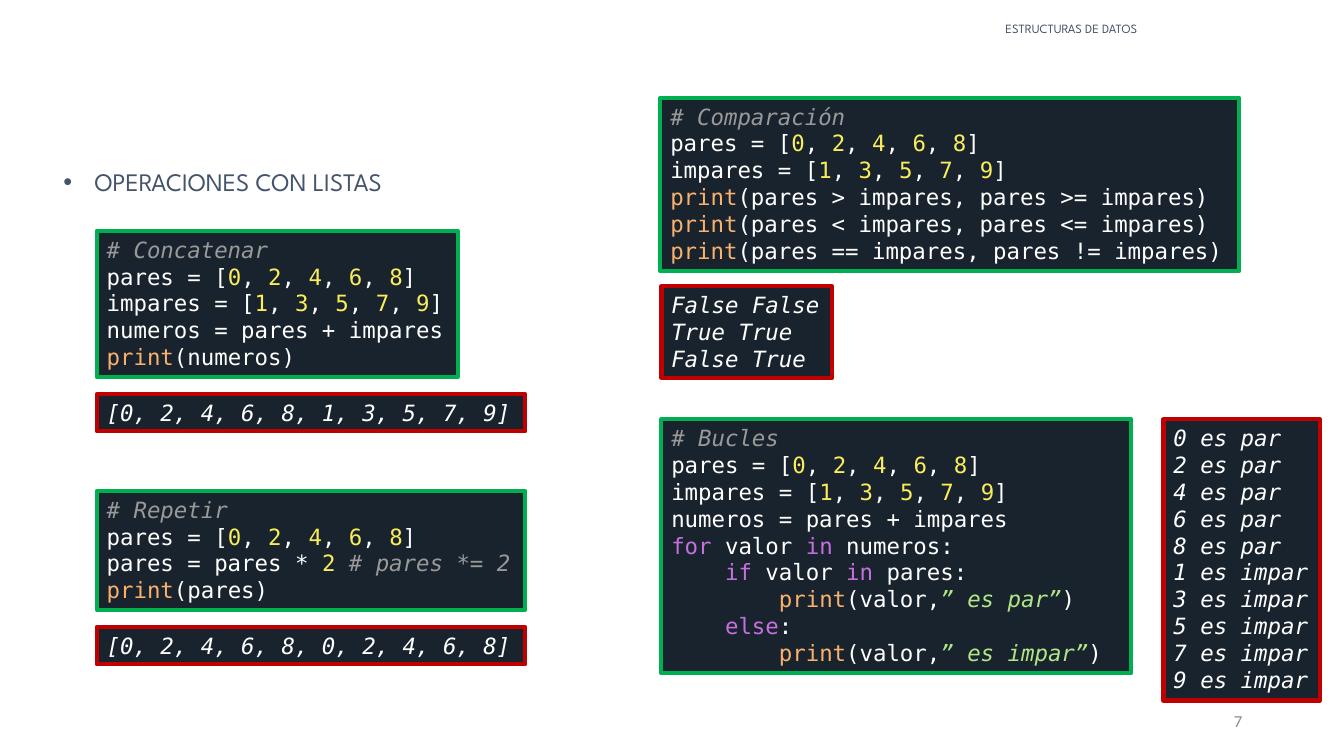
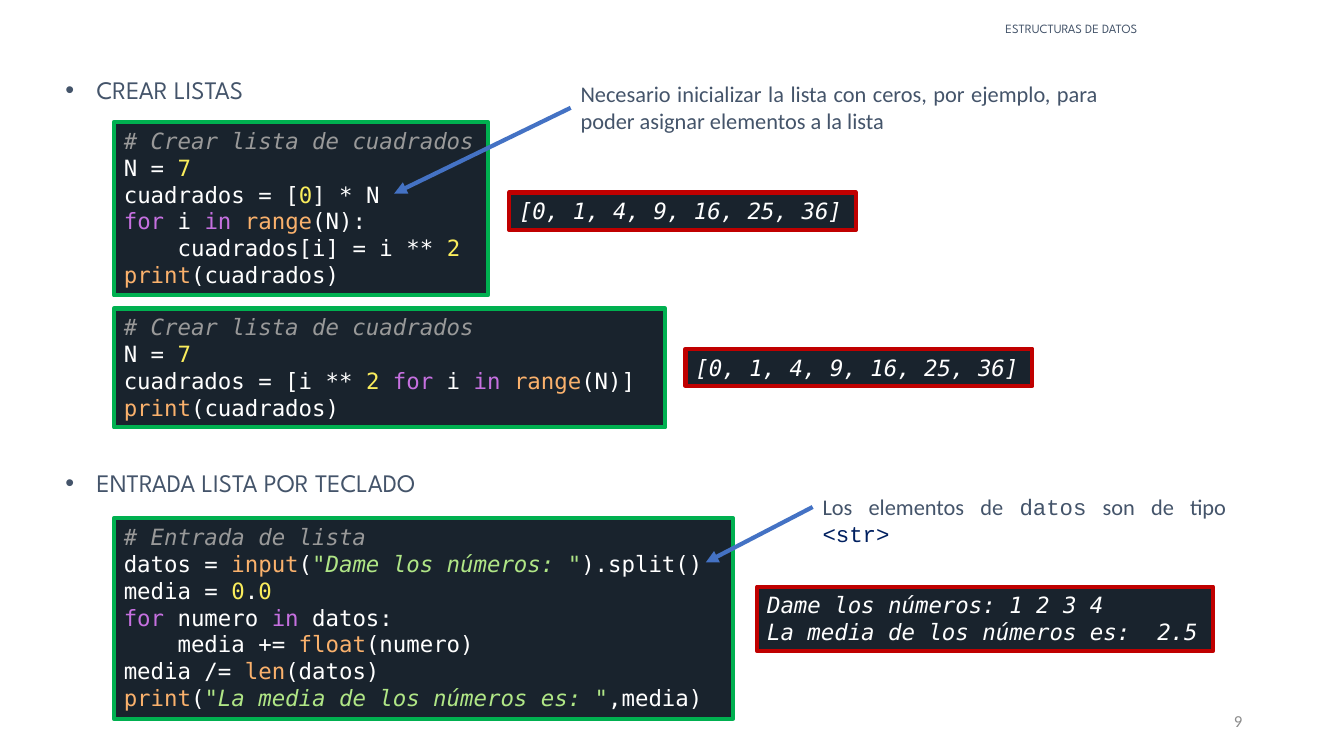
from collections.abc import Iterator
from dataclasses import dataclass
from itertools import groupby

from lxml.etree import SubElement
from pptx import Presentation
from pptx.dml.color import RGBColor
from pptx.enum.shapes import MSO_CONNECTOR as Connector, MSO_SHAPE as Shape
from pptx.enum.text import MSO_ANCHOR as Anchor, MSO_AUTO_SIZE as AutoSize, PP_ALIGN as Align
from pptx.oxml.ns import qn
from pptx.util import Inches, Pt


@dataclass(frozen=True)
class Theme:
    title_font: str = "League Spartan"
    body_font: str = "Calibri"
    code_font: str = "DejaVu Sans Mono"
    inline_font: str = "Courier New"
    header_size: int = 9
    number_size: int = 12
    text_size: int = 16
    heading_size: int = 18
    border: int = 3
    ink: str = "44546A"
    number_ink: str = "8C8C8C"
    type_ink: str = "002060"
    arrow: str = "4472C4"
    panel: str = "19232D"
    code_border: str = "00B050"
    output_border: str = "C00000"
    plain: str = "FFFFFF"
    comment: str = "999999"
    digit: str = "FAED5C"
    keyword: str = "C670E0"
    builtin: str = "FAB16C"
    string: str = "B0E686"


THEME = Theme()
KEYWORDS = {"for", "in", "if", "else"}
BUILTINS = {"print", "range", "input", "float", "len"}
QUOTES = '"”'
INDENT = Inches(0.31)


@dataclass(frozen=True)
class Span:
    text: str
    colour: str = THEME.ink
    font: str = THEME.body_font
    size: int = THEME.text_size
    italic: bool = False


@dataclass(frozen=True)
class Place:
    left: float
    top: float
    width: float
    height: float

    def inches(self) -> list:
        return [Inches(side) for side in (self.left, self.top, self.width, self.height)]


@dataclass(frozen=True)
class Panel:
    place: Place
    lines: tuple[str, ...]
    is_output: bool = False


@dataclass(frozen=True)
class Heading:
    text: str
    left: float
    top: float


@dataclass(frozen=True)
class Note:
    place: Place
    spans: tuple[Span, ...]


@dataclass(frozen=True)
class Arrow:
    """A line whose head is at the tip."""
    tip: tuple[float, float]
    tail: tuple[float, float]


@dataclass(frozen=True)
class PageContent:
    number: int
    headings: tuple[Heading, ...]
    panels: tuple[Panel, ...]
    notes: tuple[Note, ...] = ()
    arrows: tuple[Arrow, ...] = ()


def rgb(colour: str) -> RGBColor:
    return RGBColor.from_string(colour)


def apply(target, values: dict) -> None:
    for name, value in values.items():
        setattr(target, name, value)


def word_colour(word: str) -> str:
    if word in KEYWORDS:
        return THEME.keyword
    if word in BUILTINS:
        return THEME.builtin
    return THEME.digit if word.isdigit() else THEME.plain


def code_tokens(line: str) -> Iterator[tuple[str, str]]:
    """Yield each token of a code line with its colour."""
    start = 0
    while start < len(line):
        first = line[start]
        end, colour = start + 1, THEME.plain
        if first == "#":
            end, colour = len(line), THEME.comment
        elif first in QUOTES:
            end, colour = line.index(first, start + 1) + 1, THEME.string
        elif first.isalnum():
            while end < len(line) and line[end].isalnum():
                end += 1
            colour = word_colour(line[start:end])
        yield line[start:end], colour
        start = end


def code_spans(line: str) -> list[Span]:
    return [
        Span("".join(text for text, _ in tokens), colour, THEME.code_font,
             italic=colour in (THEME.comment, THEME.string))
        for colour, tokens in groupby(code_tokens(line), key=lambda token: token[1])
    ]


def output_spans(line: str) -> list[Span]:
    return [Span(line, THEME.plain, THEME.code_font, italic=True)]


def fill_paragraph(para, spans, align=Align.LEFT) -> None:
    para.alignment = align
    for span in spans:
        run = para.add_run()
        run.text = span.text
        apply(run.font, {"name": span.font, "size": Pt(span.size), "italic": span.italic})
        run.font.color.rgb = rgb(span.colour)


def add_text(page, place: Place, spans, align=Align.LEFT, **frame_format):
    box = page.shapes.add_textbox(*place.inches())
    apply(box.text_frame, {"word_wrap": True, **frame_format})
    para = box.text_frame.paragraphs[0]
    fill_paragraph(para, spans, align)
    return para


def add_heading(page, heading: Heading) -> None:
    span = Span(heading.text, font=THEME.title_font, size=THEME.heading_size)
    para = add_text(page, Place(heading.left, heading.top, 4.46, 0.4), [span], word_wrap=False)
    properties = para._p.get_or_add_pPr()
    apply_indent = {"marL": INDENT, "indent": -INDENT}
    for name, value in apply_indent.items():
        properties.set(name, str(value))
    SubElement(properties, qn("a:buFont"), typeface="Arial")
    SubElement(properties, qn("a:buChar"), char="•")


def add_panel(page, panel: Panel) -> None:
    box = page.shapes.add_shape(Shape.RECTANGLE, *panel.place.inches())
    box.shadow.inherit = False
    box.fill.solid()
    box.fill.fore_color.rgb = rgb(THEME.panel)
    box.line.color.rgb = rgb(THEME.output_border if panel.is_output else THEME.code_border)
    box.line.width = Pt(THEME.border)
    frame = box.text_frame
    apply(frame, {"word_wrap": False, "auto_size": AutoSize.SHAPE_TO_FIT_TEXT,
                  "vertical_anchor": Anchor.TOP})
    make_spans = output_spans if panel.is_output else code_spans
    for index, line in enumerate(panel.lines):
        para = frame.add_paragraph() if index else frame.paragraphs[0]
        fill_paragraph(para, make_spans(line))


def add_arrow(page, arrow: Arrow) -> None:
    ends = [Inches(value) for value in (*arrow.tip, *arrow.tail)]
    line = page.shapes.add_connector(Connector.STRAIGHT, *ends)
    line.line.color.rgb = rgb(THEME.arrow)
    line.line.width = Pt(THEME.border)
    SubElement(line.line._get_or_add_ln(), qn("a:headEnd"), type="triangle")
    SubElement(line._element.spPr, qn("a:effectLst"))


def add_page(deck, content: PageContent) -> None:
    page = deck.slides.add_slide(deck.slide_layouts[6])
    header = Span("ESTRUCTURAS DE DATOS", font=THEME.title_font, size=THEME.header_size)
    add_text(page, Place(7.97, 0.17, 5.31, 0.28), [header], Align.CENTER).line_spacing = 0.9
    number = Span(str(content.number), THEME.number_ink, size=THEME.number_size)
    add_text(page, Place(9.42, 6.95, 3, 0.4), [number], Align.RIGHT,
             vertical_anchor=Anchor.MIDDLE)
    for heading in content.headings:
        add_heading(page, heading)
    for panel in content.panels:
        add_panel(page, panel)
    for arrow in content.arrows:
        add_arrow(page, arrow)
    for note in content.notes:
        add_text(page, note.place, note.spans, Align.JUSTIFY)


EVENS = "pares = [0, 2, 4, 6, 8]"
ODDS = "impares = [1, 3, 5, 7, 9]"
JOIN = "numeros = pares + impares"
SQUARES_START = ("# Crear lista de cuadrados", "N = 7")
SQUARES_PRINT = "print(cuadrados)"
SQUARES_OUTPUT = ("[0, 1, 4, 9, 16, 25, 36]",)

LIST_OPERATIONS = PageContent(
    number=7,
    headings=(Heading("OPERACIONES CON LISTAS", 0.53, 1.6),),
    panels=(
        Panel(Place(0.96, 2.29, 3.58, 1.45),
              ("# Concatenar", EVENS, ODDS, JOIN, "print(numeros)")),
        Panel(Place(0.96, 3.91, 4.25, 0.37), ("[0, 2, 4, 6, 8, 1, 3, 5, 7, 9]",), True),
        Panel(Place(0.96, 4.87, 4.25, 1.18),
              ("# Repetir", EVENS, "pares = pares * 2 # pares *= 2", "print(pares)")),
        Panel(Place(0.96, 6.22, 4.25, 0.37), ("[0, 2, 4, 6, 8, 0, 2, 4, 6, 8]",), True),
        Panel(Place(11.54, 4.16, 1.55, 2.79),
              (*(f"{even} es par" for even in range(0, 10, 2)),
               *(f"{odd} es impar" for odd in range(1, 10, 2))), True),
        Panel(Place(6.56, 4.16, 4.66, 2.52),
              ("# Bucles", EVENS, ODDS, JOIN,
               "for valor in numeros:",
               "    if valor in pares:",
               "        print(valor,” es par”)",
               "    else:",
               "        print(valor,” es impar”)")),
        Panel(Place(6.55, 0.97, 5.74, 1.72),
              ("# Comparación", EVENS, ODDS,
               *(f"print(pares {first} impares, pares {second} impares)"
                 for first, second in ((">", ">="), ("<", "<="), ("==", "!="))))),
        Panel(Place(6.56, 2.84, 1.69, 0.91), ("False False", "True True", "False True"), True),
    ),
)

LIST_CREATION = PageContent(
    number=9,
    headings=(Heading("CREAR LISTAS", 0.55, 0.69),
              Heading("ENTRADA LISTA POR TECLADO", 0.55, 4.59)),
    panels=(
        Panel(Place(1.13, 1.21, 3.71, 1.72),
              (*SQUARES_START, "cuadrados = [0] * N", "for i in range(N):",
               "    cuadrados[i] = i ** 2", SQUARES_PRINT)),
        Panel(Place(5.05, 1.91, 3.44, 0.37), SQUARES_OUTPUT, True),
        Panel(Place(1.13, 3.06, 5.47, 1.18),
              (*SQUARES_START, "cuadrados = [i ** 2 for i in range(N)]", SQUARES_PRINT)),
        Panel(Place(6.8, 3.46, 3.44, 0.37), SQUARES_OUTPUT, True),
        Panel(Place(1.13, 5.14, 6.14, 1.99),
              ("# Entrada de lista",
               'datos = input("Dame los números: ").split()',
               "media = 0.0",
               "for numero in datos:",
               "    media += float(numero)",
               "media /= len(datos)",
               'print("La media de los números es: ",media)')),
        Panel(Place(7.51, 5.82, 4.52, 0.64),
              ("Dame los números: 1 2 3 4", "La media de los números es:  2.5"), True),
    ),
    notes=(
        Note(Place(5.66, 0.75, 5.33, 0.64),
             (Span("Necesario inicializar la lista con ceros, por ejemplo, "
                   "para poder asignar elementos a la lista"),)),
        Note(Place(8.06, 4.84, 4.2, 0.64),
             (Span("Los elementos de "), Span("datos", font=THEME.inline_font),
              Span(" son de tipo "), Span("<str>", THEME.type_ink, THEME.inline_font))),
    ),
    arrows=(Arrow((3.91, 1.92), (5.66, 1.07)), Arrow((7, 5.58), (8.06, 5.03))),
)


def main() -> None:
    deck = Presentation()
    apply(deck, {"slide_width": Inches(13.33), "slide_height": Inches(7.5)})
    for content in (LIST_OPERATIONS, LIST_CREATION):
        add_page(deck, content)
    deck.save("out.pptx")


if __name__ == "__main__":
    main()
